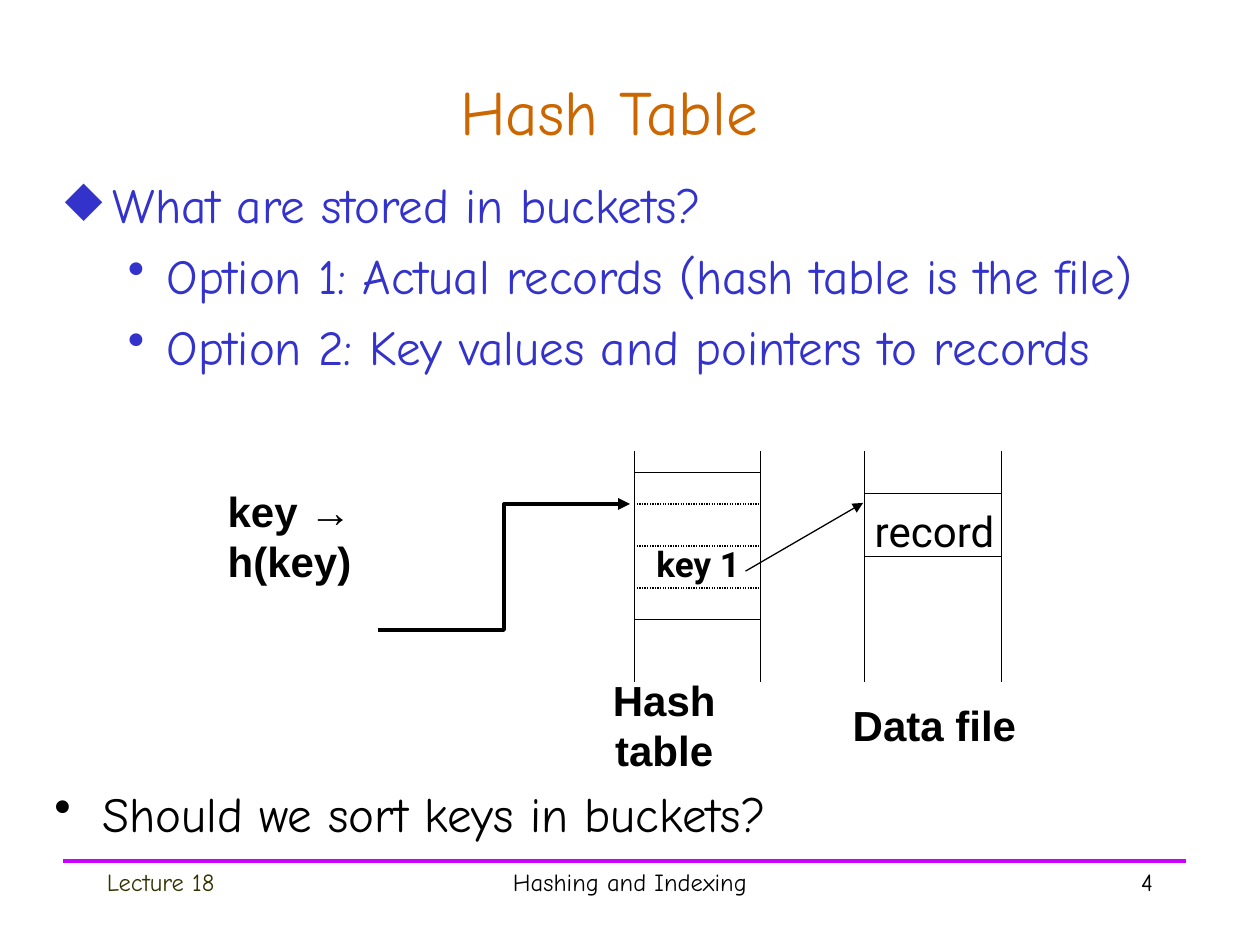
from dataclasses import dataclass

from lxml import etree
from pptx import Presentation
from pptx.dml.color import RGBColor
from pptx.enum.dml import MSO_LINE
from pptx.enum.shapes import MSO_CONNECTOR
from pptx.enum.text import MSO_ANCHOR, PP_ALIGN
from pptx.oxml.ns import qn
from pptx.util import Inches, Pt

LEFT, MID, RIGHT = PP_ALIGN.LEFT, PP_ALIGN.CENTER, PP_ALIGN.RIGHT
TOP, CENTER = MSO_ANCHOR.TOP, MSO_ANCHOR.MIDDLE
DOT = MSO_LINE.ROUND_DOT
STRAIGHT = MSO_CONNECTOR.STRAIGHT
COLORS = {"title": "CC6600", "body": "3333CC", "ink": "000000",
          "rule": "CC00FF", "date": "333300"}
HAND, SANS, ROBOT = "Comic Neue", "Arial", "Roboto"
COLS, ROWS = 120, 90
HASH = (60.4, 72.4)
FILE = (82.35, 95.4)
ENDS = (43, 65)


@dataclass
class Style:
    size: int
    face: str
    color: str = "ink"
    bold: bool = False


@dataclass
class Item:
    text: str
    mark: str = ""
    margin: float = 0
    hang: float = 0


@dataclass
class Block:
    items: list[Item]
    area: tuple[float, float, float, float]
    style: Style
    align: PP_ALIGN = LEFT
    anchor: MSO_ANCHOR = TOP
    wrap: bool = True


@dataclass
class Line:
    start: tuple[float, float]
    end: tuple[float, float]
    color: str = "ink"
    width: float = 0.75
    dotted: bool = False
    arrow: bool = False


def grid(cells: float) -> int:
    return Inches(cells * 10 / COLS)


def paint(font, style: Style) -> None:
    font.size, font.name, font.bold = Pt(style.size), style.face, style.bold
    font.color.rgb = RGBColor.from_string(COLORS[style.color])


def mark(para, item: Item) -> None:
    props = para._p.get_or_add_pPr()
    props.set("marL", str(Inches(item.margin)))
    props.set("indent", str(-Inches(item.hang)))
    etree.SubElement(props, qn("a:buChar"), char=item.mark)


def fill(shape, block: Block) -> None:
    shape.left, shape.top, shape.width, shape.height = map(grid, block.area)
    frame = shape.text_frame
    frame.word_wrap, frame.vertical_anchor = block.wrap, block.anchor
    for i, item in enumerate(block.items):
        para = frame.add_paragraph() if i else frame.paragraphs[0]
        para.text, para.alignment = item.text, block.align
        if i:
            para.space_before = Pt(7)
        if item.mark:
            mark(para, item)
        paint(para.font, block.style)


def stroke(shape, line: Line) -> None:
    shape.line.color.rgb = RGBColor.from_string(COLORS[line.color])
    shape.line.width = Pt(line.width)
    if line.dotted:
        shape.line.dash_style = DOT
    if line.arrow:
        etree.SubElement(shape.line._get_or_add_ln(), qn("a:tailEnd"), type="triangle")


def draw(shapes, line: Line) -> None:
    link = shapes.add_connector(STRAIGHT, *map(grid, line.start + line.end))
    stroke(link, line)
    etree.SubElement(link._element.spPr, qn("a:effectLst"))


def bend(points: list, t: float) -> tuple[float, float]:
    a, b, c, d = (1 - t) ** 3, 3 * t * (1 - t) ** 2, 3 * t * t * (1 - t), t ** 3
    x, y = (a * p + b * q + c * r + d * s for p, q, r, s in zip(*points))
    return x, y


def curve(shapes, knots: list, steps: int = 12) -> None:
    path = [bend(knots[i:i + 4], n / steps)
            for i in range(0, len(knots) - 1, 3) for n in range(1, steps + 1)]
    pen = shapes.build_freeform(*knots[0], scale=Inches(1))
    pen.add_line_segments(path, close=False)
    shape = pen.convert_to_shape()
    shape.shadow.inherit = False
    shape.fill.background()
    stroke(shape, Line(knots[0], knots[-1], width=2.25, arrow=True))


def label(text: str, area: tuple, style: Style) -> Block:
    return Block([Item(text)], area, style, MID, CENTER, False)


def main() -> None:
    deck = Presentation()
    deck.slide_width, deck.slide_height = grid(COLS), grid(ROWS)
    slide = deck.slides.add_slide(deck.slide_layouts[5])
    shapes = slide.shapes
    fill(shapes.title, Block([Item("Hash Table ")], (5, 5, 108, 11),
                             Style(36, HAND, "title"), MID, CENTER))

    head, foot = Style(24, SANS, bold=True), Style(14, HAND)
    options = ["Option 1: Actual records (hash table is the file)",
               "Option 2: Key values and pointers to records"]
    blocks = [
        Block([Item("What are stored in buckets?", "◆", 0.38, 0.38)]
              + [Item(text, "•", 0.81, 0.31) for text in options],
              (5, 16, 111, 26), Style(28, HAND, "body")),
        Block([Item("key → h(key)")], (20.5, 46, 16, 10), head, LEFT, CENTER),
        label("Hash table", (52, 66, 22.5, 6), head),
        label("Data file", (80, 66, 18, 6), head),
        label("record", (81.6, 47.5, 14.8, 6), Style(24, ROBOT)),
        label("key 1", (61, 51, 11, 5.3), Style(20, ROBOT, bold=True)),
        Block([Item("Should we sort keys in buckets?", "•", 0.38, 0.38)],
              (4, 74, 111, 6.8), Style(28, HAND)),
        Block([Item("Lecture 18")], (9, 82, 25, 6), Style(14, HAND, "date")),
        Block([Item("Hashing and Indexing")], (41, 82, 38, 6), foot, MID),
        Block([Item("4")], (86, 82, 25, 6), foot, RIGHT),
    ]
    lines = [Line((6, 82), (113, 82), "rule", 2.25)]
    lines += [Line((x, ENDS[0]), (x, ENDS[1])) for x in HASH + FILE]
    lines += [Line((FILE[0], y), (FILE[1], y)) for y in (47, 53)]
    lines += [Line((HASH[0], y), (HASH[1], y)) for y in (45, 59)]
    lines += [Line((HASH[0], y), (HASH[1], y), dotted=True) for y in (48, 52, 56)]
    lines.append(Line((71, 54.4), (82.2, 47.9), arrow=True))

    for line in lines:
        draw(shapes, line)
    curve(shapes, [(3.25, 4.58), (3.53, 4.59), (3.81, 4.6), (3.92, 4.58),
                   (4.03, 4.57), (3.92, 4.54), (3.92, 4.5),
                   (3.92, 4.46), (3.76, 4.35), (3.92, 4.33),
                   (4.07, 4.32), (4.68, 4.4), (4.83, 4.42)])
    for block in blocks:
        fill(shapes.add_textbox(0, 0, 0, 0), block)
    deck.save("out.pptx")


if __name__ == "__main__":
    main()
